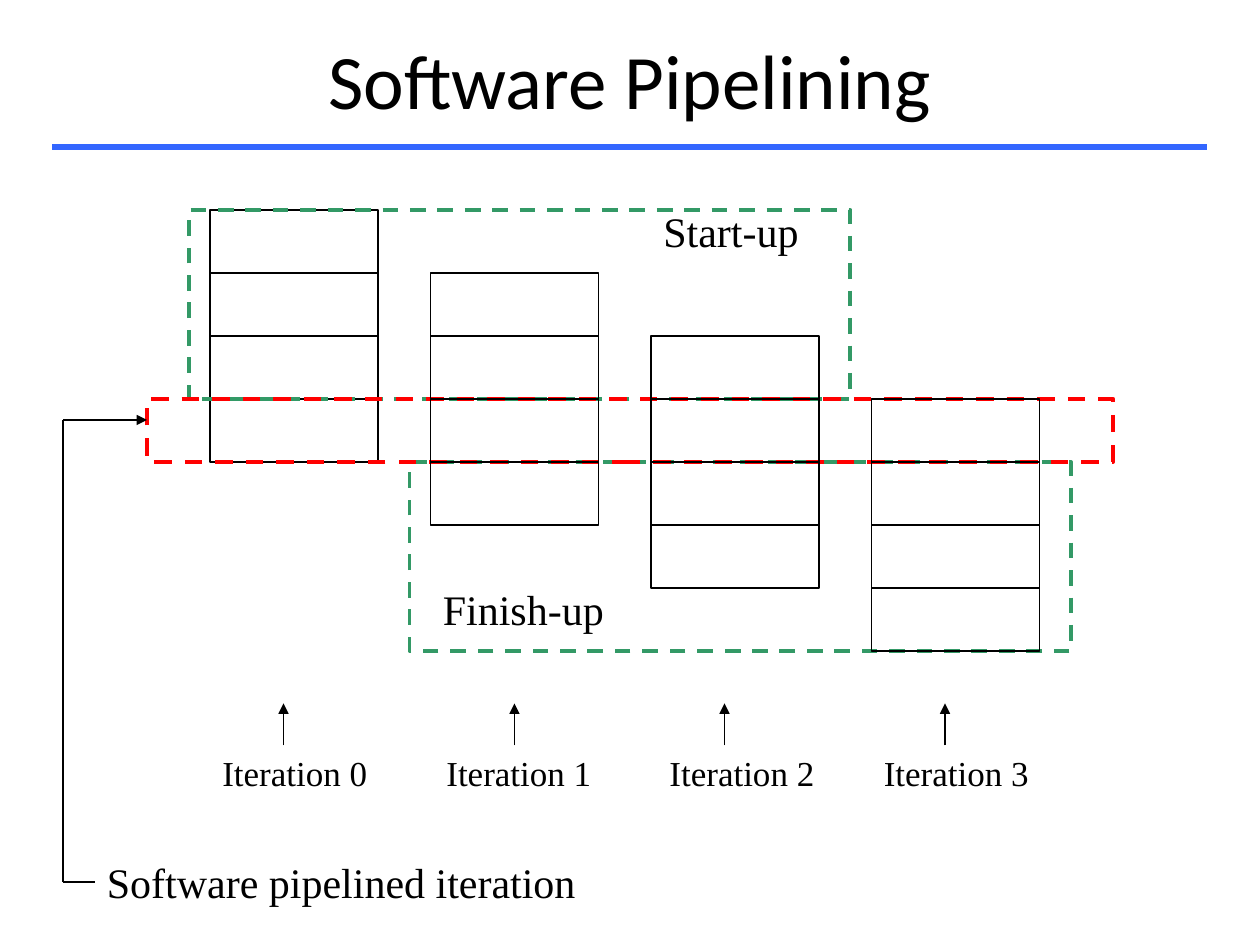
from lxml import etree
from pptx import Presentation
from pptx.dml.color import RGBColor
from pptx.enum.dml import MSO_LINE
from pptx.enum.shapes import MSO_CONNECTOR, MSO_SHAPE
from pptx.enum.text import MSO_ANCHOR, MSO_AUTO_SIZE, PP_ALIGN
from pptx.oxml.ns import qn
from pptx.util import Pt

RECT = MSO_SHAPE.RECTANGLE
STRAIGHT = MSO_CONNECTOR.STRAIGHT
DASH = MSO_LINE.DASH
CENTER = PP_ALIGN.CENTER
MIDDLE = MSO_ANCHOR.MIDDLE
GROW = MSO_AUTO_SIZE.SHAPE_TO_FIT_TEXT

BLACK, BLUE, GREEN, RED = "000000", "3366FF", "339966", "FF0000"
SERIF, SANS = "Times New Roman", "Calibri"
LEFT, TOP, STEP, WIDE, ROW, ROWS = 120, 120, 126, 96, 36, 4


def tint(color, code):
    """Set a color object from a hex string."""
    color.rgb = RGBColor.from_string(code)


def add_text(slide, box, text, size, face=SERIF):
    """Add a wrapped text box and return its text frame."""
    frame = slide.shapes.add_textbox(*map(Pt, box)).text_frame
    frame.word_wrap = True
    frame.auto_size = GROW
    frame.text = text
    for run in frame.paragraphs[0].runs:
        run.font.size = Pt(size)
        run.font.name = face
        tint(run.font.color, BLACK)
    return frame


def add_title(slide, text):
    """Add the centred title with the rule below it."""
    frame = add_text(slide, (54, 0, 612, 90), text, 44, SANS)
    frame.auto_size = MSO_AUTO_SIZE.NONE
    frame.vertical_anchor = MIDDLE
    frame.paragraphs[0].alignment = CENTER
    add_line(slide, (30, 84), (690, 84), 3, BLUE)


def add_tabs(para, stops):
    """Give a paragraph left tab stops at the given points."""
    tabs = etree.SubElement(para._p.get_or_add_pPr(), qn("a:tabLst"))
    for stop in stops:
        etree.SubElement(tabs, qn("a:tab"), pos=str(Pt(stop)), algn="l")


def add_box(slide, box, width=0.75, code=BLACK, dash=None):
    """Add an unfilled rectangle."""
    shape = slide.shapes.add_shape(RECT, *map(Pt, box))
    shape.shadow.inherit = False
    shape.fill.background()
    tint(shape.line.color, code)
    shape.line.width = Pt(width)
    if dash:
        shape.line.dash_style = dash
    return shape


def add_line(slide, start, end, width=0.75, code=BLACK, arrow=False):
    """Add a straight line, with an arrowhead at its end if asked."""
    line = slide.shapes.add_connector(STRAIGHT, *map(Pt, start + end))
    tint(line.line.color, code)
    line.line.width = Pt(width)
    if arrow:
        etree.SubElement(line.line._get_or_add_ln(), qn("a:tailEnd"), type="triangle")
    etree.SubElement(line._element.spPr, qn("a:effectLst"))
    return line


def add_stack(slide, index):
    """Add the stages of one iteration, one row lower than the last."""
    x, y = LEFT + index * STEP, TOP + index * ROW
    box = add_box(slide, (x, y, WIDE, ROWS * ROW))
    for row in range(1, ROWS):
        level = y + row * ROW
        line = add_line(slide, (x, level), (x + WIDE, level))
        if 2 * row == ROWS:
            line.begin_connect(box, 1)
            line.end_connect(box, 3)


def add_labels(slide):
    """Name the iterations and point up at each stack."""
    text = "\t".join(f"Iteration {index}" for index in range(4))
    frame = add_text(slide, (120, 426, 510, 31), text, 20)
    add_tabs(frame.paragraphs[0], (128, 255.5, 378))
    for x in (162, 294, 414, 540):
        add_line(slide, (x, 426), (x, 402), arrow=True)


def add_callout(slide):
    """Lead from the bottom caption to the pipelined row."""
    add_text(slide, (54, 486, 600, 36), "Software pipelined iteration", 24)
    add_line(slide, (54, 504), (36, 504), 1.5)
    add_line(slide, (36, 504), (36, 240), 1.5)
    add_line(slide, (36, 240), (84, 240), 1.5, arrow=True)


def main():
    """Build the slide and save it."""
    deck = Presentation()
    deck.slide_width, deck.slide_height = Pt(720), Pt(540)
    slide = deck.slides.add_slide(deck.slide_layouts[6])
    add_title(slide, "Software Pipelining")
    add_stack(slide, 0)
    add_box(slide, (108, 120, 378, 108), 2.25, GREEN, DASH)
    add_box(slide, (234, 264, 378, 108), 2.25, GREEN, DASH)
    add_text(slide, (372, 114, 102, 36), "Start-up", 24)
    add_text(slide, (246, 330, 108, 36), "Finish-up", 24)
    add_box(slide, (84, 228, 552, 36), 2.5, RED, DASH)
    add_labels(slide)
    add_callout(slide)
    for index in range(1, 4):
        add_stack(slide, index)
    deck.save("out.pptx")


if __name__ == "__main__":
    main()
